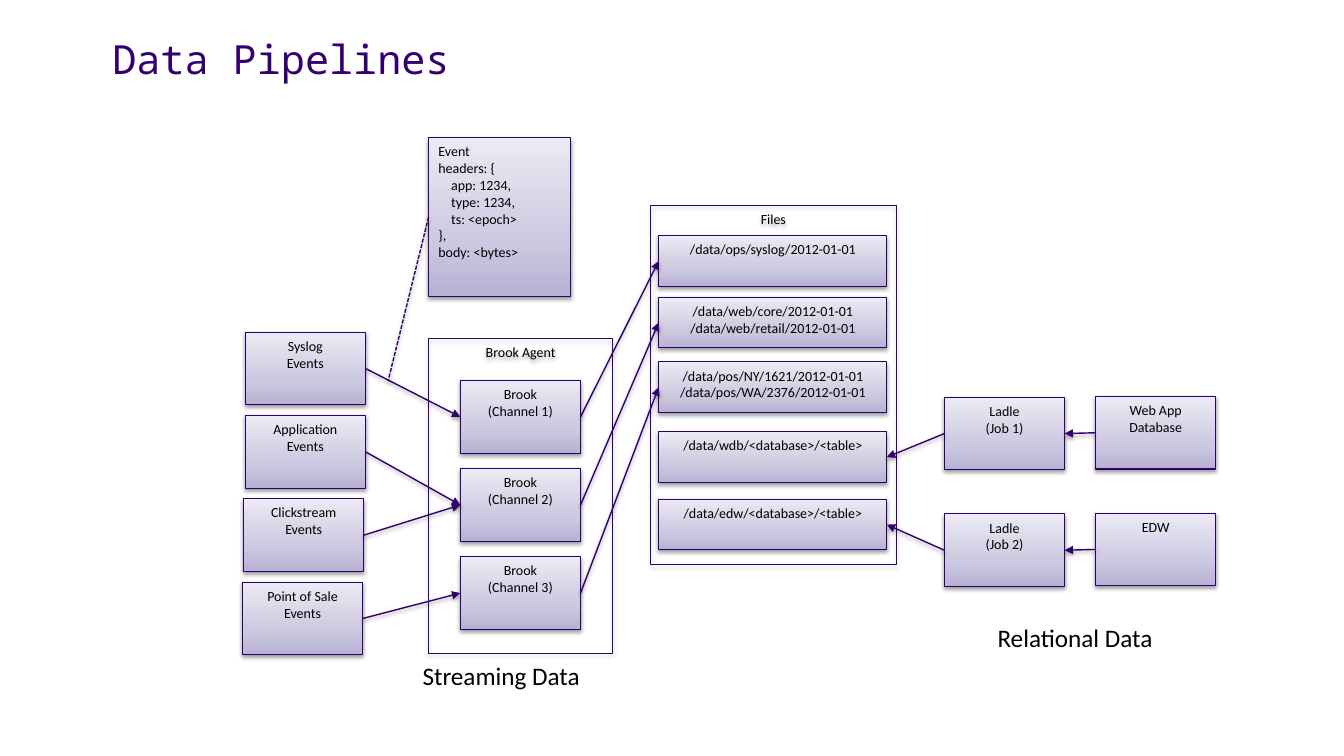
from dataclasses import dataclass

from lxml.etree import SubElement
from pptx import Presentation
from pptx.dml.color import RGBColor
from pptx.enum.dml import MSO_LINE
from pptx.enum.shapes import MSO_CONNECTOR, MSO_SHAPE
from pptx.enum.text import MSO_ANCHOR, PP_ALIGN
from pptx.oxml.ns import qn
from pptx.util import Cm, Pt


@dataclass(frozen=True)
class Theme:
    ink: str = "000000"
    title: str = "33006F"
    edge: str = "32006D"
    fade: tuple = ((0, "B7B1D4"), (35, "CDC9E0"), (100, "ECEAF4"))
    font: str = "Calibri"
    mono: str = "Noto Sans Mono"
    small: float = 10
    label: float = 18
    head: float = 28.7


THEME = Theme()
LEFT, RIGHT = 1, 3
NODE = 3.03, 1.83  # width and height of a standard box, cm


def write(frame, text, size=THEME.small, font=THEME.font, color=THEME.ink,
          align=PP_ALIGN.LEFT, spacing=None, inset=(0.25, 0.13)):
    """Fill a frame line by line; a leading tab becomes an indent."""
    frame.word_wrap = True
    frame.vertical_anchor = MSO_ANCHOR.TOP
    frame.margin_left = frame.margin_right = Cm(inset[0])
    frame.margin_top = frame.margin_bottom = Cm(inset[1])
    for i, line in enumerate(text.split("\n")):
        para = frame.add_paragraph() if i else frame.paragraphs[0]
        para.alignment = align
        if spacing:
            para.line_spacing = spacing
        if line.startswith("\t"):
            para._p.get_or_add_pPr().set("marL", str(Cm(0.32)))
        run = para.add_run()
        run.text = line.strip()
        run.font.size = Pt(size)
        run.font.name = font
        run.font.color.rgb = RGBColor.from_string(color)


def shade(props, alpha=38, dist=1.6):
    """Give shape properties a soft shadow that falls straight down."""
    list_ = props.find(qn("a:effectLst"))
    if list_ is None:
        list_ = SubElement(props, qn("a:effectLst"))
    cast = SubElement(list_, qn("a:outerShdw"), blurRad=str(Pt(3.1)),
                      dist=str(Pt(dist)), dir="5400000", rotWithShape="0")
    tint = SubElement(cast, qn("a:srgbClr"), val="000000")
    SubElement(tint, qn("a:alpha"), val=str(alpha * 1000))


def blend(fill, props):
    """Fill with the theme's fade, dark at the bottom."""
    fill.gradient()
    fill.gradient_angle = 90
    stops = props.find(qn("a:gradFill")).find(qn("a:gsLst"))
    for stop in list(stops):
        stops.remove(stop)
    for place, color in THEME.fade:
        stop = SubElement(stops, qn("a:gs"), pos=str(place * 1000))
        SubElement(stop, qn("a:srgbClr"), val=color)


def panel(slide, text, x, y, w, h, filled=True, align=PP_ALIGN.CENTER):
    shape = slide.shapes.add_shape(MSO_SHAPE.RECTANGLE, Cm(x), Cm(y), Cm(w), Cm(h))
    props = shape._element.spPr
    if filled:
        blend(shape.fill, props)
    else:
        shape.fill.background()
    color = THEME.edge if filled else THEME.title
    shape.line.color.rgb = RGBColor.from_string(color)
    shape.line.width = Pt(0.75 if filled else 0.5)
    shape.shadow.inherit = False
    if filled:
        shade(props)
    else:
        shade(props, alpha=35, dist=1.8)
    write(shape.text_frame, text, align=align)
    return shape


def caption(slide, text, x, y, w, h, **style):
    frame = slide.shapes.add_textbox(Cm(x), Cm(y), Cm(w), Cm(h)).text_frame
    write(frame, text, **style)


def link(slide, start, end, out=RIGHT, into=LEFT):
    """Join two boxes with an arrow, or run a dashed line to an (x, y) point."""
    loose = isinstance(end, tuple)
    x, y = end if loose else (0, 0)
    line = slide.shapes.add_connector(MSO_CONNECTOR.STRAIGHT, 0, 0, Cm(x), Cm(y))
    line.begin_connect(start, out)
    line.line.color.rgb = RGBColor.from_string(THEME.title)
    line.line.width = Pt(1)
    if loose:
        line.line.dash_style = MSO_LINE.SQUARE_DOT
    else:
        line.end_connect(end, into)
        SubElement(line.line._get_or_add_ln(), qn("a:tailEnd"), type="triangle")
    shade(line._element.spPr)


def event(slide, x, y, w, h):
    text = ("Event\nheaders: {\n\tapp: 1234,\n\ttype: 1234,\n"
            "\tts: <epoch>\n},\nbody: <bytes>")
    return panel(slide, text, x, y, w, h, align=PP_ALIGN.LEFT)


def feeds(slide, x, y):
    names = "Syslog", "Application", "Clickstream", "Point of Sale"
    shifts = 0.07, 0.07, 0.03, 0
    return [panel(slide, f"{name}\nEvents", x + shift, y + 2.1 * i, *NODE)
            for i, (name, shift) in enumerate(zip(names, shifts))]


def agent(slide, x, y, w, h):
    panel(slide, "Brook Agent", x, y, w, h, filled=False)
    return [panel(slide, f"Brook\n(Channel {i + 1})",
                  x + 0.8, y + 1.06 + 2.22 * i, *NODE) for i in range(3)]


def store(slide, x, y, w, h):
    panel(slide, "Files", x, y, w, h, filled=False)
    rows = (
        (0.76, "/data/ops/syslog/2012-01-01"),
        (2.31, "/data/web/core/2012-01-01\n/data/web/retail/2012-01-01"),
        (3.94, "/data/pos/NY/1621/2012-01-01\n/data/pos/WA/2376/2012-01-01"),
        (5.7, "/data/wdb/<database>/<table>"),
        (7.4, "/data/edw/<database>/<table>"),
    )
    return [panel(slide, text, x + 0.2, y + drop, w - 0.43, 1.28)
            for drop, text in rows]


def tables(slide, x, y):
    """Place each database beside its job, joined, and return the jobs."""
    jobs = []
    for i, name in enumerate(("Web App\nDatabase", "EDW")):
        top = y + 2.94 * i
        job = panel(slide, f"Ladle\n(Job {i + 1})", x, top, *NODE)
        base = panel(slide, name, x + 3.81, top - 0.02, *NODE)
        link(slide, base, job, LEFT, RIGHT)
        jobs.append(job)
    return jobs


def build(slide):
    caption(slide, "Data Pipelines", 2.47, 1.02, 30.3, 1.27, size=THEME.head,
            font=THEME.mono, color=THEME.title, spacing=0.7, inset=(0.36, 0.18))
    note = event(slide, 10.8, 3.47, 3.59, 4)
    inputs = feeds(slide, 6.11, 8.37)
    lanes = agent(slide, 10.8, 8.53, 4.64, 7.94)
    paths = store(slide, 16.4, 5.18, 6.18, 9.05)
    for feed, lane in zip(inputs, (0, 1, 1, 2)):
        link(slide, feed, lanes[lane])
    for lane, target in zip(lanes, paths):
        link(slide, lane, target)
    for job, target in zip(tables(slide, 23.8, 10.01), paths[3:]):
        link(slide, job, target, LEFT, RIGHT)
    link(slide, note, (9.78, 9.6), out=LEFT)
    for text, x, y in (("Relational Data", 24.89, 15.55),
                       ("Streaming Data", 10.4, 16.52)):
        caption(slide, text, x, y, 5.08, 1.03, size=THEME.label)


def main():
    deck = Presentation()
    deck.slide_width, deck.slide_height = Cm(33.87), Cm(19.05)
    build(deck.slides.add_slide(deck.slide_layouts[6]))
    deck.save("out.pptx")


if __name__ == "__main__":
    main()
